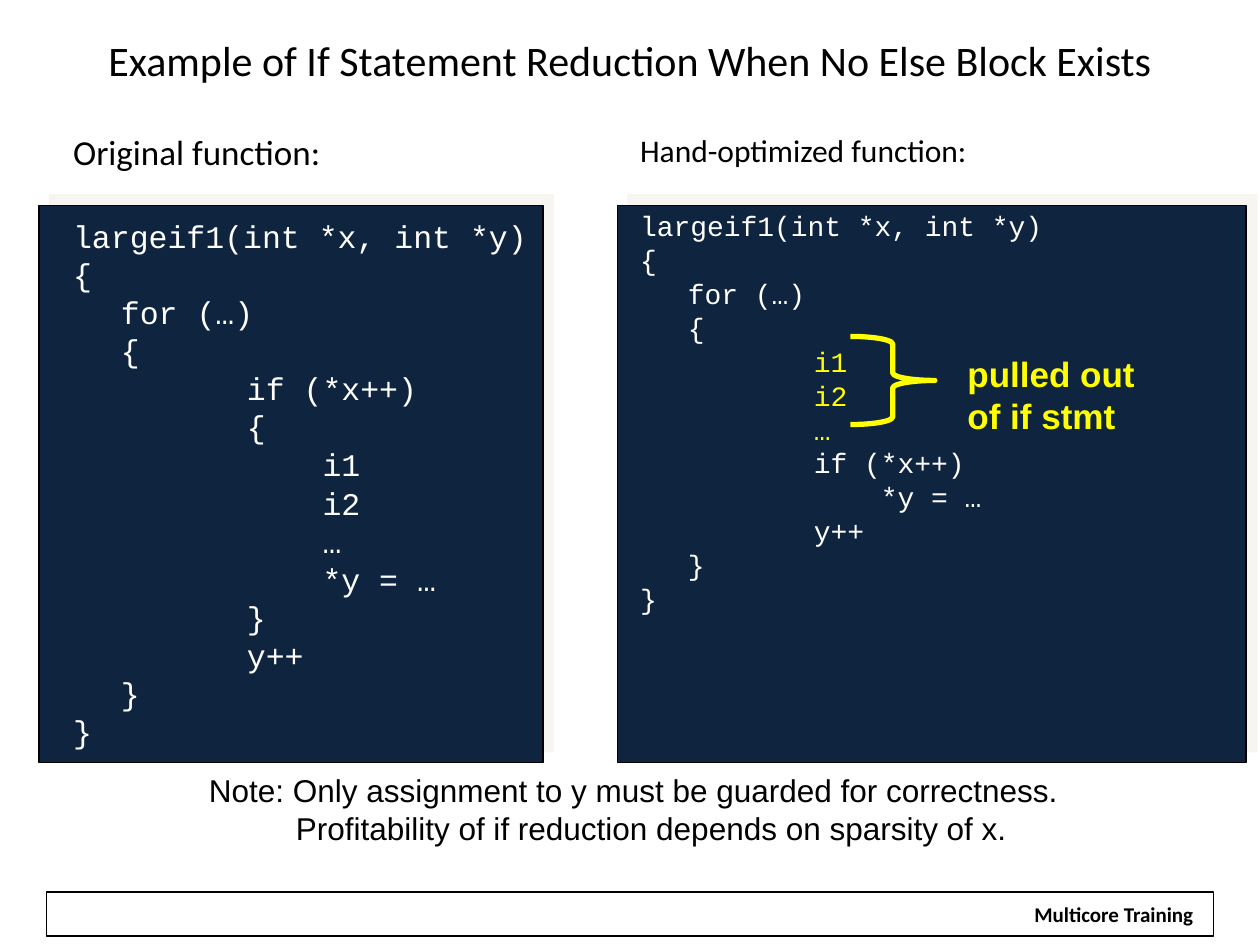
from lxml import etree
from pptx import Presentation
from pptx.dml.color import RGBColor
from pptx.enum import shapes, text
from pptx.oxml import ns
from pptx.util import Inches, Pt

COLORS = {"ink": "000000", "paper": "FFFFFF", "panel": "0F243E",
          "shadow": "EEECE1", "accent": "FFFF00"}
CODE_INDENTS = [0, 0.38, 1.38]  # inches per nesting depth

# Code lines: (nesting depth, text, colour)
ORIGINAL = [
    (0, "largeif1(int *x, int *y)", "paper"),
    (0, "{", "paper"),
    (1, "for (…)", "paper"),
    (1, "{", "paper"),
    (2, "if (*x++)", "paper"),
    (2, "{", "paper"),
    (2, "    i1", "paper"),
    (2, "    i2", "paper"),
    (2, "    …", "paper"),
    (2, "    *y = …", "paper"),
    (2, "}", "paper"),
    (2, "y++", "paper"),
    (1, "}", "paper"),
    (0, "}", "paper"),
]
OPTIMIZED = ORIGINAL[:4] + [
    (2, "i1", "accent"),
    (2, "i2", "accent"),
    (2, "…", "accent"),
    (2, "if (*x++)", "paper"),
    (2, "    *y = …", "paper"),
    (2, "y++", "paper"),
    (1, "}", "paper"),
    (0, "}", "paper"),
]


class SlideBuilder:
    def __init__(self, slide):
        self.slide = slide

    def color(self, name):
        return RGBColor.from_string(COLORS[name])

    def place(self, shape, box):
        shape.left, shape.top, shape.width, shape.height = map(Inches, box)

    def run(self, paragraph, words, font, size, color, bold=False):
        run = paragraph.add_run()
        run.text = words
        run.font.name, run.font.size, run.font.bold = font, Pt(size), bold
        run.font.color.rgb = self.color(color)

    def title(self, words, box):
        title = self.slide.shapes.title
        self.place(title, box)
        title.text_frame.vertical_anchor = text.MSO_ANCHOR.MIDDLE
        paragraph = title.text_frame.paragraphs[0]
        paragraph.alignment = text.PP_ALIGN.CENTER
        self.run(paragraph, words, "Calibri", 24, "ink")

    def shape(self, kind, box, fill=None, line="ink", width=0.75):
        shape = self.slide.shapes.add_shape(kind, *map(Inches, box))
        shape.shadow.inherit = False
        if fill:
            shape.fill.solid()
            shape.fill.fore_color.rgb = self.color(fill)
        else:
            shape.fill.background()
        shape.line.color.rgb = self.color(line)
        shape.line.width = Pt(width)
        return shape

    def panel(self, box):
        panel = self.shape(shapes.MSO_SHAPE.RECTANGLE, box, "panel")
        effects = panel._element.spPr.find(ns.qn("a:effectLst"))
        shadow = etree.SubElement(effects, ns.qn("a:outerShdw"), dist=str(Pt(8.5)),
                                  dir=str(315 * 60000), algn="ctr", rotWithShape="0")
        tint = etree.SubElement(shadow, ns.qn("a:srgbClr"), val=COLORS["shadow"])
        etree.SubElement(tint, ns.qn("a:alpha"), val="50000")
        # Behind the placeholders
        self.slide.shapes._spTree.insert(2, panel._element)

    def body_line(self, paragraph, indent, before):
        properties = paragraph._p.get_or_add_pPr()
        properties.set("marL", str(Inches(indent)))
        properties.set("indent", "0")
        etree.SubElement(properties, ns.qn("a:buNone"))
        paragraph.line_spacing = 0.8
        paragraph.space_before = Pt(before)

    def listing(self, index, box, heading, heading_size, code):
        body = self.slide.placeholders[index]
        self.place(body, box)
        frame = body.text_frame
        frame.auto_size = text.MSO_AUTO_SIZE.NONE
        self.body_line(frame.paragraphs[0], 0, 0)
        self.run(frame.paragraphs[0], heading, "Calibri", heading_size, "ink")
        code_size = heading_size - 2
        gap = heading_size * 1.25  # extra room under the heading
        for depth, words, color in code:
            paragraph = frame.add_paragraph()
            self.body_line(paragraph, CODE_INDENTS[depth], code_size * 0.25 + gap)
            self.run(paragraph, words, "Courier New", code_size, color)
            gap = 0

    def label(self, box, lines, font, size, color, bold=False, wrap=True,
              align=text.PP_ALIGN.LEFT):
        frame = self.slide.shapes.add_textbox(*map(Inches, box)).text_frame
        frame.word_wrap = wrap
        for number, (indent, words) in enumerate(lines):
            paragraph = frame.add_paragraph() if number else frame.paragraphs[0]
            paragraph.alignment = align
            if indent:
                paragraph._p.get_or_add_pPr().set("marL", str(Inches(indent)))
            self.run(paragraph, words, font, size, color, bold)


def main():
    prs = Presentation()
    prs.slide_width, prs.slide_height = Inches(10), Inches(7.5)
    builder = SlideBuilder(prs.slides.add_slide(prs.slide_layouts[3]))

    # Title
    builder.title("Example of If Statement Reduction When No Else Block Exists",
                  (0.5, 0, 9, 0.95))

    # Code listings on dark panels
    for left, width in ((4.9, 4.99), (0.31, 4)):
        builder.panel((left, 1.63, width, 4.42))
    builder.listing(1, (0.48, 1.05, 4.42, 4.95), "Original function:", 20, ORIGINAL)
    builder.listing(2, (4.98, 1.05, 4.42, 4.95), "Hand-optimized function:", 18,
                    OPTIMIZED)

    # Callout for the lines moved out of the condition
    brace = builder.shape(shapes.MSO_SHAPE.RIGHT_BRACE, (6.75, 2.67, 0.67, 0.7),
                          line="accent", width=3)
    brace.adjustments[0], brace.adjustments[1] = 0.09, 0.5
    builder.label((7.58, 2.75, 1.6, 0.77), [(0, "pulled out"), (0, "of if stmt")],
                  "Arial", 20, "accent", bold=True)

    # Note
    builder.label((1.56, 6.07, 6.94, 0.7),
                  [(0, "Note: Only assignment to y must be guarded for correctness."),
                   (0.69, "Profitability of if reduction depends on sparsity of x.")],
                  "Arial", 18, "ink", wrap=False)

    # Footer
    builder.shape(shapes.MSO_SHAPE.RECTANGLE, (0.37, 7.08, 9.26, 0.35))
    builder.label((8.1, 7.11, 1.48, 0.3), [(0, "Multicore Training")], "Calibri", 12,
                  "ink", bold=True, wrap=False, align=text.PP_ALIGN.CENTER)

    prs.save("out.pptx")


if __name__ == "__main__":
    main()
